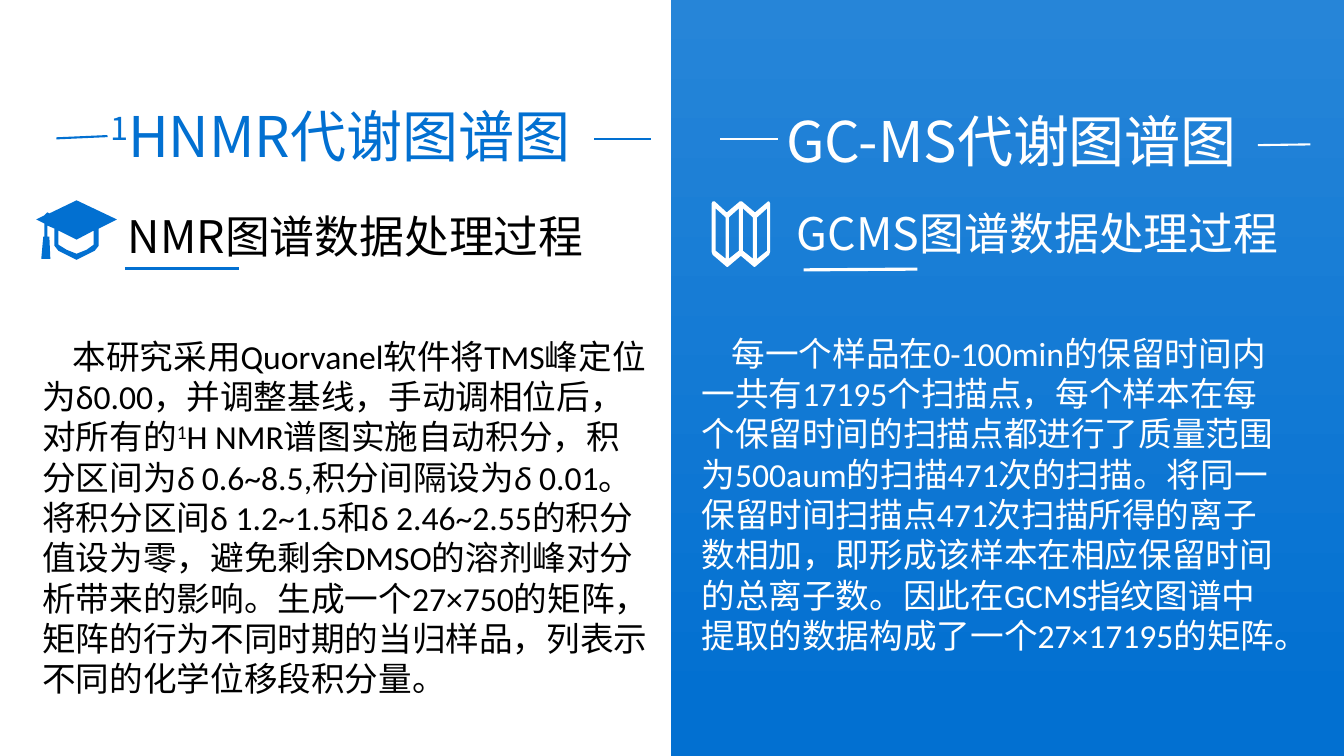
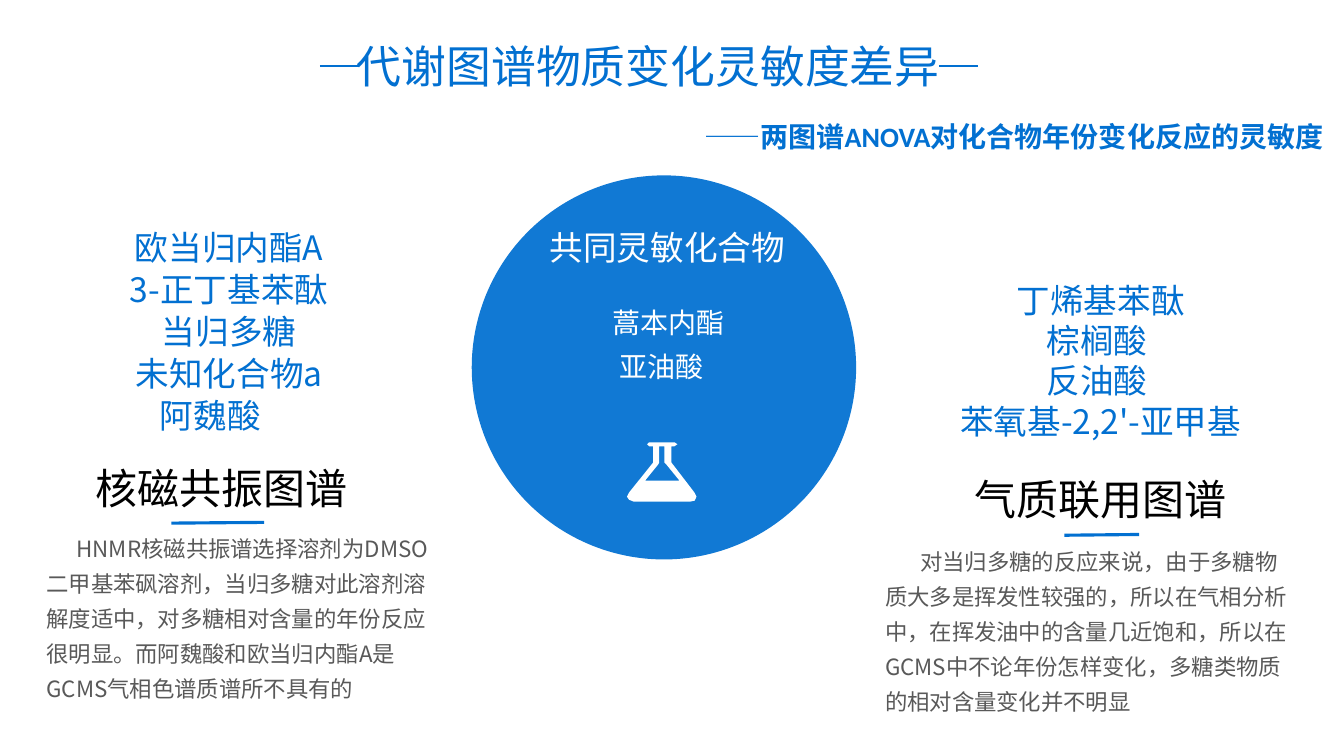
from lxml import etree
from pptx import Presentation
from pptx.dml.color import RGBColor
from pptx.enum.shapes import MSO_CONNECTOR, MSO_SHAPE
from pptx.enum.text import MSO_ANCHOR, MSO_AUTO_SIZE, PP_ALIGN
from pptx.oxml.ns import qn
from pptx.util import Inches, Pt

STRAIGHT = MSO_CONNECTOR.STRAIGHT
RECTANGLE, OVAL = MSO_SHAPE.RECTANGLE, MSO_SHAPE.OVAL
LEFT, CENTER = PP_ALIGN.LEFT, PP_ALIGN.CENTER
TOP, NO_FIT = MSO_ANCHOR.TOP, MSO_AUTO_SIZE.NONE

COLORS = {
    "blue": "0270D1",
    "circle": "1179D4",
    "panel_top": "2685D8",
    "white": "FFFFFF",
    "black": "000000",
    "gray": "595959",
}
HEADING_FONT, BODY_FONT = "Noto Sans CJK SC", "Calibri"

prs = Presentation()
prs.slide_width, prs.slide_height = Inches(13.33), Inches(7.5)
# The grid has 100 columns and 100 rows
COL, ROW = prs.slide_width / 100, prs.slide_height / 100
TITLE_ONLY = prs.slide_layouts[5]


def rgb(name):
    return RGBColor.from_string(COLORS[name])


def write(slide, box, paragraphs, size, color, font=HEADING_FONT, spacing=1.0,
          align=LEFT, indents=(), title=False):
    """Fill a box with paragraphs, each a string or a list of (text, style) pieces.

    A paragraph with a first-line indent (inches) is set flush left.
    """
    left, top, width, height = box
    place = (round(left * COL), round(top * ROW), round(width * COL), round(height * ROW))
    if title:
        shape = slide.shapes.title
        shape.left, shape.top, shape.width, shape.height = place
    else:
        shape = slide.shapes.add_textbox(*place)
    frame = shape.text_frame
    frame.word_wrap, frame.auto_size, frame.vertical_anchor = True, NO_FIT, TOP
    frame.margin_left = frame.margin_right = frame.margin_top = frame.margin_bottom = 0
    for i, content in enumerate(paragraphs):
        paragraph = frame.paragraphs[0] if i == 0 else frame.add_paragraph()
        paragraph.alignment, paragraph.line_spacing = align, spacing
        if i < len(indents) and indents[i]:
            paragraph.alignment = LEFT
            properties = paragraph._p.get_or_add_pPr()
            properties.set("marL", "0")
            properties.set("indent", str(Inches(indents[i])))
        pieces = [(content, "")] if isinstance(content, str) else content
        for text, style in pieces:
            run = paragraph.add_run()
            run.text = text
            run.font.size, run.font.name = Pt(size), font
            run.font.color.rgb = rgb(color)
            run.font.bold, run.font.italic = style == "bold", style == "italic"
            run_properties = run._r.get_or_add_rPr()
            if style == "super":
                run_properties.set("baseline", "30000")
            etree.SubElement(run_properties, qn("a:ea")).set("typeface", HEADING_FONT)


methods = prs.slides.add_slide(TITLE_ONLY)
sensitivity = prs.slides.add_slide(TITLE_ONLY)

# Backgrounds: the right half of the first slide, the circle of the second
for slide, kind, left, top, width, height in [
    (methods, RECTANGLE, 49.9, 0, 50.1, 100),
    (sensitivity, OVAL, 35.1, 23.2, 28.6, 50.8),
]:
    backdrop = slide.shapes.add_shape(kind, round(left * COL), round(top * ROW),
                                      round(width * COL), round(height * ROW))
    backdrop.shadow.inherit = False
    backdrop.line.fill.background()
    if kind == OVAL:
        backdrop.fill.solid()
        backdrop.fill.fore_color.rgb = rgb("circle")
    else:
        backdrop.fill.gradient()
        backdrop.fill.gradient_angle = 270
        for stop, name, position in zip(backdrop.fill.gradient_stops,
                                        ("panel_top", "blue"), (0, 0.94)):
            stop.color.rgb = rgb(name)
            stop.position = position

# First slide: headings
write(methods, (8.2, 11.6, 36.8, 10.5), [[("1", "super"), ("HNMR代谢图谱图", "")]],
      40, "blue", spacing=1.2, title=True)
write(methods, (58.5, 14.1, 37.3, 8.9), ["GC-MS代谢图谱图"], 40, "white")
write(methods, (9.5, 27.6, 36.8, 7.2), ["NMR图谱数据处理过程"], 32, "black")
write(methods, (59.3, 27.2, 39, 7.2), ["GCMS图谱数据处理过程"], 32, "white")

# First slide: descriptions
nmr_process = [
    ("本研究采用Quorvanel软件将TMS峰定位为δ0.00，并调整基线，手动调相位后，对所有的", ""),
    ("1", "super"),
    ("H NMR谱图实施自动积分，积分区间为", ""),
    ("δ", "italic"),
    (" 0.6~8.5,积分间隔设为", ""),
    ("δ ", "italic"),
    ("0.01。将积分区间δ 1.2~1.5和δ 2.46~2.55的积分值设为零，避免剩余DMSO的溶剂峰"
     "对分析带来的影响。生成一个27×750的矩阵，矩阵的行为不同时期的当归样品，"
     "列表示不同的化学位移段积分量。", ""),
]
gcms_process = (
    "每一个样品在0-100min的保留时间内一共有17195个扫描点，每个样本在每个保留时间的扫描点"
    "都进行了质量范围为500aum的扫描471次的扫描。将同一保留时间扫描点471次扫描所得的离子数相加，"
    "即形成该样本在相应保留时间的总离子数。因此在GCMS指纹图谱中提取的数据构成了一个27×17195的矩阵。"
)
write(methods, (3.15, 44.4, 45.15, 48.5), [nmr_process], 24, "black",
      font=BODY_FONT, indents=[0.3])
write(methods, (52.2, 44, 43.6, 53.9), [gcms_process], 24, "white",
      font=BODY_FONT, indents=[0.3])

# Second slide: title and subtitle
write(sensitivity, (26.1, 3.7, 44.3, 8.4), ["代谢图谱物质变化灵敏度差异"],
      32, "blue", spacing=1.2, align=CENTER, title=True)
write(sensitivity, (52.4, 15.8, 47.6, 4.5),
      [[("——", ""), ("两图谱ANOVA对化合物年份变化反应的灵敏度", "bold")]],
      20, "blue", font=BODY_FONT)

# Second slide: compounds in the circle and at both sides
write(sensitivity, (40.8, 28.9, 17.7, 6.3), ["共同灵敏化合物"], 24, "white",
      spacing=1.2, align=CENTER)
write(sensitivity, (37.8, 39.1, 23.9, 11.5), ["蒿本内酯", "亚油酸"], 20, "white",
      spacing=1.3, align=CENTER, indents=[0, 1.11])
write(sensitivity, (6.8, 29.8, 20.5, 28),
      ["欧当归内酯A", "3-正丁基苯酞", "当归多糖", "未知化合物a", "阿魏酸"],
      24, "blue", spacing=Pt(30), align=CENTER, indents=[0, 0, 0, 0, 0.68])
write(sensitivity, (70.6, 37, 22.6, 21.6),
      ["丁烯基苯酞", "棕榈酸", "反油酸", "苯氧基-2,2'-亚甲基"],
      24, "blue", align=CENTER, indents=[0, 0.97, 0.97])

# Second slide: the two spectra and their explanations
write(sensitivity, (4.65, 59.9, 23.6, 7.9), ["核磁共振图谱"], 30, "black",
      spacing=1.2, align=CENTER)
write(sensitivity, (72.5, 61.3, 19.9, 7.9), ["气质联用图谱"], 30, "black", spacing=1.2)
write(sensitivity, (3.45, 69.7, 28.6, 23.2),
      ["HNMR核磁共振谱选择溶剂为DMSO二甲基苯砜溶剂，当归多糖对此溶剂溶解度适中，"
       "对多糖相对含量的年份反应很明显。而阿魏酸和欧当归内酯A是GCMS气相色谱质谱所不具有的"],
      16, "gray", spacing=1.3, indents=[0.3])
write(sensitivity, (65.85, 71.5, 30.2, 23.2),
      ["对当归多糖的反应来说，由于多糖物质大多是挥发性较强的，所以在气相分析中，"
       "在挥发油中的含量几近饱和，所以在GCMS中不论年份怎样变化，多糖类物质的相对含量变化并不明显"],
      16, "gray", spacing=1.3, indents=[0.35])

# Dashes beside the titles and underlines below the headings
DASH, UNDERLINE = 1.5, 2.25
for slide, x1, y1, x2, y2, color, weight in [
    (methods, 4.2, 18.3, 8, 18, "blue", DASH),
    (methods, 44.2, 18.4, 48.45, 18.4, "blue", DASH),
    (methods, 53.6, 18.4, 57.9, 18.4, "white", DASH),
    (methods, 93.6, 19.2, 97.5, 19.1, "white", DASH),
    (methods, 9.3, 35.5, 17.8, 35.5, "blue", UNDERLINE),
    (methods, 59.8, 35.7, 68.25, 35.6, "white", UNDERLINE),
    (sensitivity, 23.8, 8.7, 26.7, 8.7, "blue", DASH),
    (sensitivity, 69.9, 8.7, 72.8, 8.7, "blue", DASH),
    (sensitivity, 12.75, 69.2, 19.65, 69.1, "blue", UNDERLINE),
    (sensitivity, 79.2, 70.8, 84.75, 70.7, "blue", UNDERLINE),
]:
    rule = slide.shapes.add_connector(STRAIGHT, round(x1 * COL), round(y1 * ROW),
                                      round(x2 * COL), round(y2 * ROW))
    rule.line.color.rgb = rgb(color)
    rule.line.width = Pt(weight)
    etree.SubElement(rule._element.spPr, qn("a:effectLst"))

# Icons: an outline followed by its holes, in hundredths of an inch
graduation_cap = [
    [(80, 19), (40, 0), (13, 13), (11, 12), (8, 15), (0, 19), (8, 23), (8, 36), (7, 36),
     (5, 58), (14, 58), (13, 36), (11, 36), (11, 25), (18, 28), (18, 45), (22, 50),
     (40, 59), (58, 50), (62, 45), (62, 28)],
    [(57, 44), (50, 49), (40, 53), (30, 49), (22, 44), (22, 30), (40, 39), (57, 30)],
]
folded_map = [
    [(57, 54), (43, 66), (42, 66), (29, 55), (16, 66), (15, 66), (1, 54), (0, 51), (0, 3),
     (1, 1), (3, 1), (15, 12), (28, 1), (30, 1), (43, 12), (56, 1), (57, 1), (58, 3), (58, 51)],
]
for high, low in [(4, 14), (27, 17), (31, 41), (55, 45)]:
    folded_map.append([(high, 8), (low, 17), (low, 58), (high, 50)])
flask = [
    [(64, 59), (9, 59), (4, 57), (2, 54), (4, 50), (28, 20), (28, 4), (24, 4), (22, 2),
     (24, 0), (49, 0), (52, 2), (49, 4), (46, 4), (46, 20), (69, 50), (71, 54), (69, 58)],
    [(20, 38), (54, 38), (41, 22), (39, 20), (39, 4), (34, 4), (34, 20), (33, 22)],
]
for slide, contours, left, top, color in [
    (methods, graduation_cap, 2.7, 26.5, "blue"),
    (methods, folded_map, 52.95, 26.5, "white"),
    (sensitivity, flask, 46.5, 58.5, "white"),
]:
    builder = slide.shapes.build_freeform(*contours[0][0], scale=Inches(0.01))
    builder.add_line_segments(contours[0][1:], close=True)
    for hole in contours[1:]:
        builder.move_to(*hole[0])
        builder.add_line_segments(hole[1:], close=True)
    icon = builder.convert_to_shape(round(left * COL), round(top * ROW))
    icon.shadow.inherit = False
    icon.fill.solid()
    icon.fill.fore_color.rgb = rgb(color)
    icon.line.fill.background()

prs.save("out.pptx")
